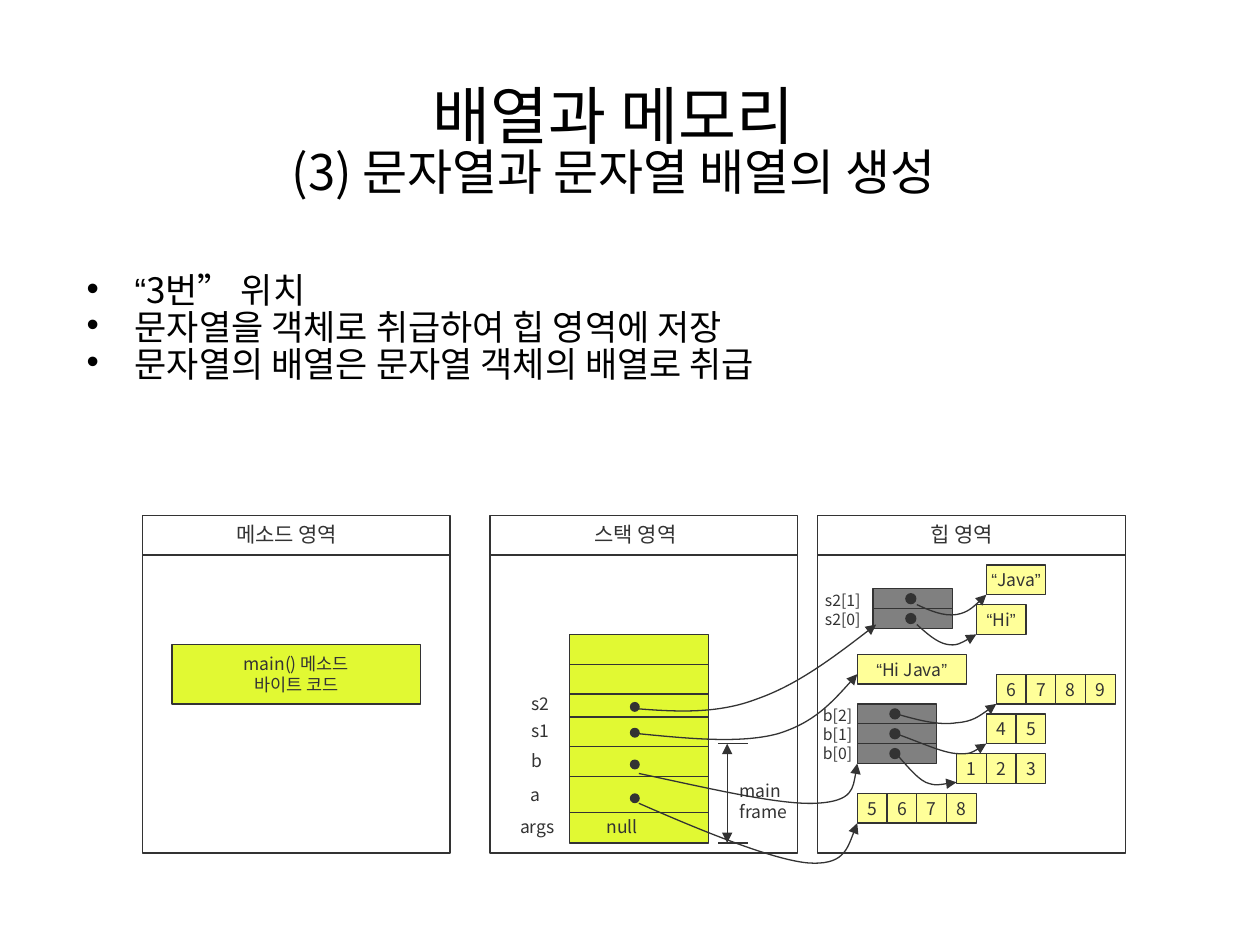
from lxml import etree
from pptx import Presentation
from pptx.dml.color import RGBColor
from pptx.enum.shapes import MSO_CONNECTOR, MSO_SHAPE
from pptx.enum.text import MSO_ANCHOR, MSO_AUTO_SIZE, PP_ALIGN
from pptx.oxml.ns import qn
from pptx.util import Inches, Pt

RECT, OVAL, STRAIGHT = MSO_SHAPE.RECTANGLE, MSO_SHAPE.OVAL, MSO_CONNECTOR.STRAIGHT
LEFT, CENTER = PP_ALIGN.LEFT, PP_ALIGN.CENTER
TOP, MIDDLE = MSO_ANCHOR.TOP, MSO_ANCHOR.MIDDLE
KOREAN, LATIN = "Noto Sans CJK KR", "Arial"
COLORS = {"ink": "333333", "text": "000000", "lime": "E1F933",
          "yellow": "FFFF99", "gray": "808080"}

# The memory diagram lies on a square grid
UNIT = Inches(0.0788)
GRID_LEFT, GRID_TOP = Inches(1.13), Inches(4.09)

prs = Presentation()
prs.slide_width, prs.slide_height = Inches(10), Inches(7.5)
slide = prs.slides.add_slide(prs.slide_layouts[5])
shapes = slide.shapes


def box(col, row, cols, rows, kind=None, fill=None, outline=True):
    """Place a preset shape, or a text box if no kind is given, in grid units."""
    place = (int(GRID_LEFT + col * UNIT), int(GRID_TOP + row * UNIT),
             int(cols * UNIT), int(rows * UNIT))
    if kind is None:
        return shapes.add_textbox(*place)
    shape = shapes.add_shape(kind, *place)
    shape.shadow.inherit = False
    if fill:
        shape.fill.solid()
        shape.fill.fore_color.rgb = RGBColor.from_string(COLORS[fill])
    else:
        shape.fill.background()
    if outline:
        shape.line.color.rgb = RGBColor.from_string(COLORS["ink"])
        shape.line.width = Pt(0.75)
    else:
        shape.line.fill.background()
    return shape


def write(shape, lines, size, align=LEFT, anchor=TOP, color="ink", inset=0.1):
    """Fill a shape with lines of text; curly quotes get the Latin font."""
    frame = shape.text_frame
    frame.word_wrap, frame.auto_size = True, MSO_AUTO_SIZE.NONE
    frame.vertical_anchor = anchor
    frame.margin_left = frame.margin_right = Inches(inset)
    frame.margin_top = frame.margin_bottom = Inches(inset / 2)
    for number, line in enumerate(lines):
        paragraph = frame.paragraphs[0] if number == 0 else frame.add_paragraph()
        paragraph.alignment = align
        pieces = line.replace("“", "|“|").replace("”", "|”|").split("|")
        for piece in filter(None, pieces):
            run = paragraph.add_run()
            run.text = piece
            run.font.size = Pt(size)
            run.font.name = LATIN if piece in "“”" else KOREAN
            run.font.color.rgb = RGBColor.from_string(COLORS[color])
            east_asian = etree.Element(qn("a:ea"), typeface=KOREAN)
            run.font._element.find(qn("a:latin")).addnext(east_asian)
    return frame


# Title and bullets
title = shapes.title
title.left, title.top = Inches(0.25), Inches(0.75)
title.width, title.height = Inches(9.24), Inches(0.8)
heading = write(title, ["배열과 메모리"], 36, CENTER, MIDDLE, "text").paragraphs[0]
heading.line_spacing = 0.82
heading.add_line_break()
subtitle = heading.add_run()
subtitle.text = "(3) 문자열과 문자열 배열의 생성"
subtitle.font.size, subtitle.font.name = Pt(28), KOREAN
subtitle.font.color.rgb = RGBColor.from_string(COLORS["text"])

points = shapes.add_textbox(Inches(0.59), Inches(2.18), Inches(8.5), Inches(1.11))
for point in write(points, ["“3번” 위치", "문자열을 객체로 취급하여 힙 영역에 저장",
                            "문자열의 배열은 문자열 객체의 배열로 취급"],
                   20, color="text").paragraphs:
    point.line_spacing, point.space_before = 0.67, Pt(5)
    properties = point._p.get_or_add_pPr()
    properties.set("marL", str(Inches(0.38)))
    properties.set("indent", str(-Inches(0.38)))
    etree.SubElement(properties, qn("a:buFont"), typeface=LATIN)
    etree.SubElement(properties, qn("a:buChar"), char="•")

# Memory areas; each straight line is (from, to, arrow at both ends)
lines = []
for col, name, indent in [(0, "메소드 영역", 8.2), (35, "스택 영역", 9.3),
                          (68, "힙 영역", 10.1)]:
    box(col, 0, 31, 34, RECT)
    lines.append(((col, 4), (col + 31, 4), False))
    write(box(col + indent, 0, 16, 4), [name], 12)

write(box(3, 13, 25, 6, RECT, "lime"), ["main() 메소드", "바이트 코드"], 10,
      CENTER, MIDDLE)

# Stack with its variables
box(43, 12, 14, 21, RECT, "lime")
for row in (15, 18, 20.3, 23.3, 26.3, 29.9):
    lines.append(((43, row), (57, row), False))
for name, col, row in [("s2", 37.9, 17.3), ("s1", 37.9, 20), ("b", 37.9, 23),
                       ("a", 37.8, 26.4), ("args", 36.8, 29.7), ("null", 45.5, 29.7)]:
    write(box(col, row, 7, 3.4), [name], 10)
for row in (18.8, 21.4, 24.6, 28):
    box(49.1, row, 1, 1, OVAL, "ink", outline=False)

# Extent of the main frame
lines += [((58, 23), (61, 23), False), ((58, 33), (61, 33), False),
          ((58.9, 23), (58.9, 33), True)]
write(box(58.9, 26, 9, 5.6), ["main", "frame"], 10)

# Heap: arrays of references, then the objects they refer to
for name, count, col, row, label_col in [("b", 3, 72, 19, 67.3),
                                         ("s2", 2, 73.6, 7.4, 67.5)]:
    for index in range(count):
        box(col, row + 2 * index, 8, 2, RECT, "gray")
        box(col + 3.3, row + 2 * index + 0.5, 1, 1, OVAL, "ink")
    write(box(label_col, row - 0.4, 7, 2 * count + 1),
          [f"{name}[{index}]" for index in reversed(range(count))], 9)

for digits, col, row in [("5678", 72, 28), ("123", 82, 24), ("45", 85, 20),
                         ("6789", 86, 16)]:
    for place, digit in enumerate(digits):
        write(box(col + 3 * place, row, 3, 3, RECT, "yellow"), [digit], 10,
              CENTER, MIDDLE, inset=0)
for text, col, row, cols in [("“Hi Java”", 72, 14, 11), ("“Java”", 85, 5, 6),
                             ("“Hi”", 84, 9, 5)]:
    write(box(col, row, cols, 3, RECT, "yellow"), [text], 10, CENTER, MIDDLE, inset=0)

# Strokes are (shape, arrow at start, arrow at end)
strokes = []
for start, end, arrows in lines:
    ends = [int(value) for col, row in (start, end)
            for value in (GRID_LEFT + col * UNIT, GRID_TOP + row * UNIT)]
    connector = shapes.add_connector(STRAIGHT, *ends)
    etree.SubElement(connector._element.spPr, qn("a:effectLst"))
    strokes.append((connector, arrows, arrows))

# References: a start, then two Bézier segments of three points each
references = [
    [(50, 29), (56.6, 31.9), (63.3, 34.6), (66.9, 35), (70.6, 35.3), (71.2, 33.1), (72, 31)],
    [(50, 26), (57.1, 27.5), (64.2, 29.2), (67.9, 29), (71.6, 28.8), (71.7, 26.9), (72, 25)],
    [(50, 22), (55.1, 22.5), (60.3, 23), (64, 22), (67.6, 20.9), (69.8, 18.5), (72, 16)],
    [(50, 19.5), (53.9, 19.8), (58, 20), (61.9, 18.5), (65.9, 17.1), (69.9, 14.1), (73.9, 11)],
    [(75.9, 24), (76.9, 25.1), (77.9, 26.4), (78.9, 26.9), (79.9, 27.3), (81, 27), (82, 26.9)],
    [(75.9, 22), (78.2, 22.8), (80.5, 23.9), (82, 24), (83.4, 24.1), (84.1, 23.6), (85, 23)],
    [(75.9, 20), (78, 20.6), (80.2, 21.2), (82, 20.9), (83.6, 20.8), (84.8, 19.9), (86, 19)],
    [(78, 11), (79, 11.9), (80, 12.8), (81, 13), (82, 13.2), (83, 12.6), (84, 12)],
    [(78, 9), (79.3, 9.6), (80.7, 10.2), (82, 10), (83.1, 9.8), (84, 9), (85, 8)],
]
for reference in references:
    route = [(GRID_LEFT + col * UNIT, GRID_TOP + row * UNIT) for col, row in reference]
    builder = shapes.build_freeform(*route[0])
    builder.add_line_segments(route[1:], close=False)
    curve = builder.convert_to_shape()
    curve.shadow.inherit = False
    curve.fill.background()
    outline = next(curve._element.iter(qn("a:path")))
    segments = outline.findall(qn("a:lnTo"))
    for first in range(0, len(segments), 3):
        bezier = etree.SubElement(outline, qn("a:cubicBezTo"))
        for segment in segments[first:first + 3]:
            bezier.append(segment[0])
            outline.remove(segment)
    strokes.append((curve, False, True))

for stroke, at_start, at_end in strokes:
    stroke.line.color.rgb = RGBColor.from_string(COLORS["ink"])
    stroke.line.width = Pt(0.75)
    for tag, wanted in (("a:headEnd", at_start), ("a:tailEnd", at_end)):
        if wanted:
            etree.SubElement(stroke.line._get_or_add_ln(), qn(tag), type="triangle")

prs.save("out.pptx")
